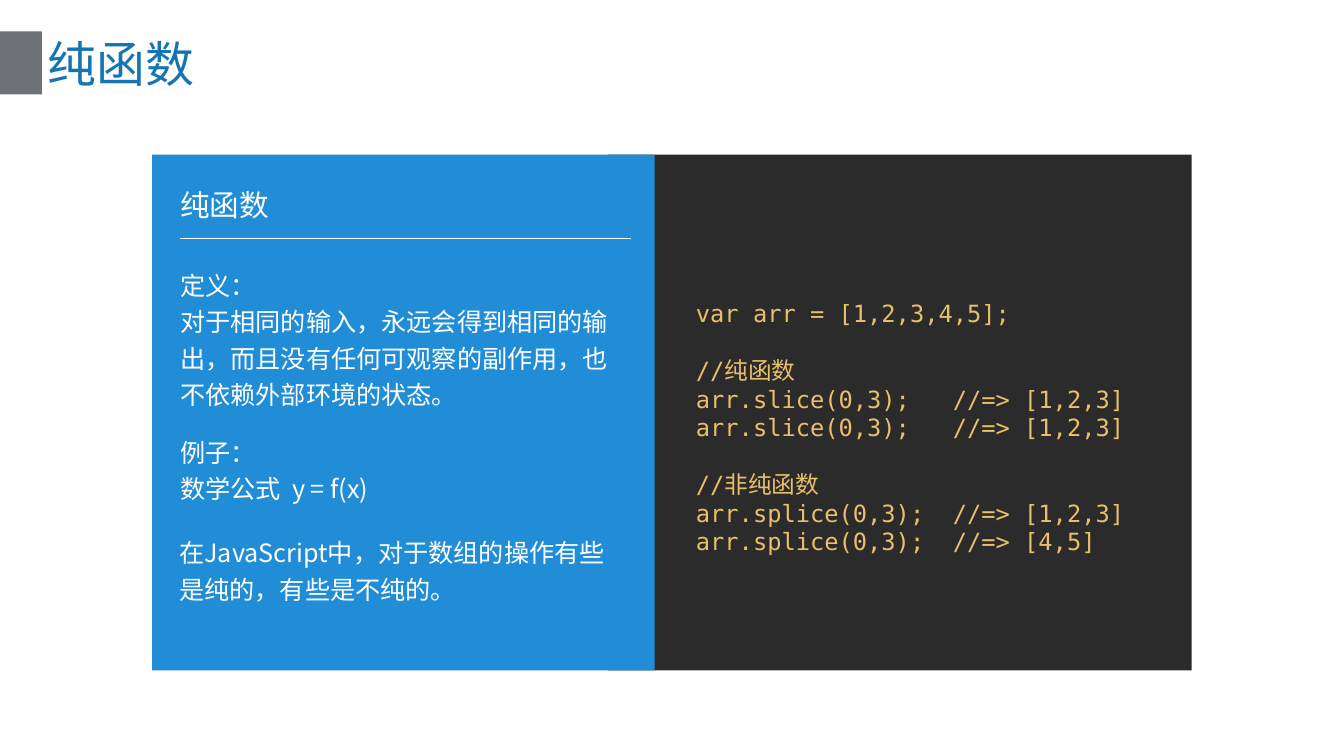
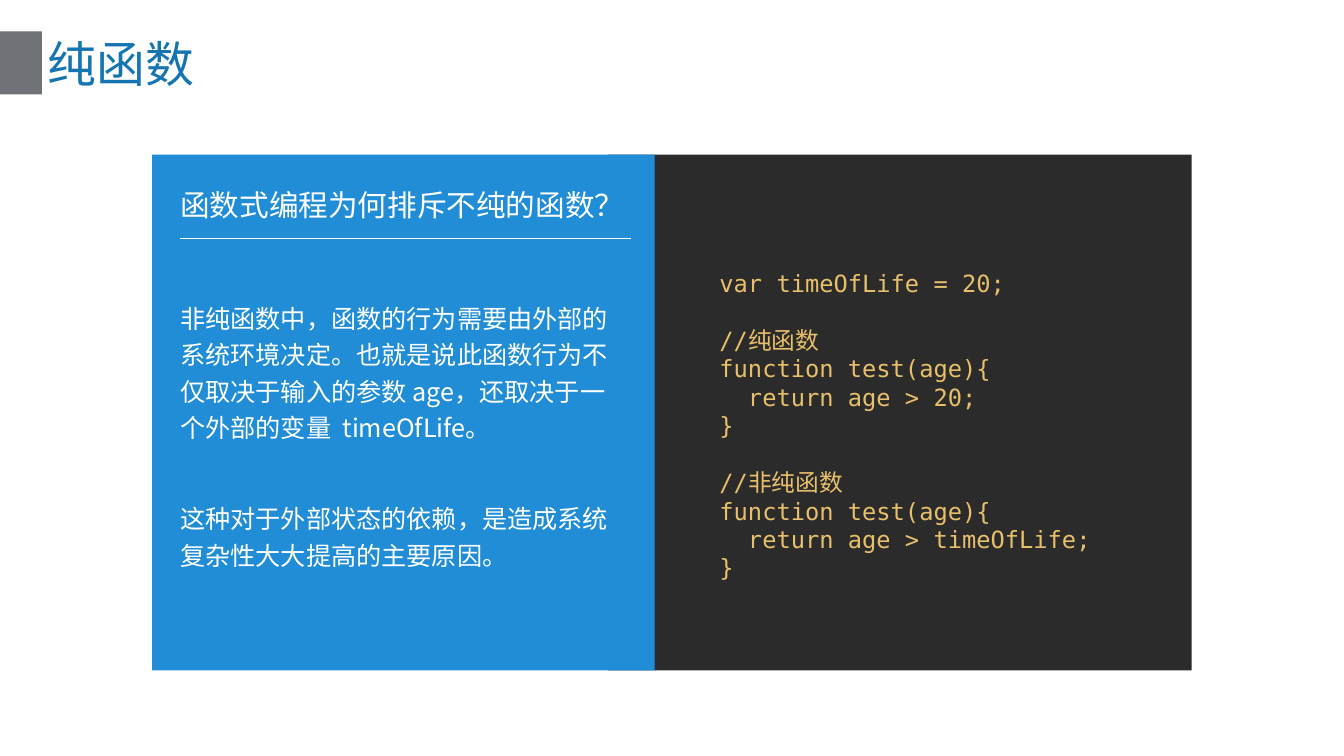
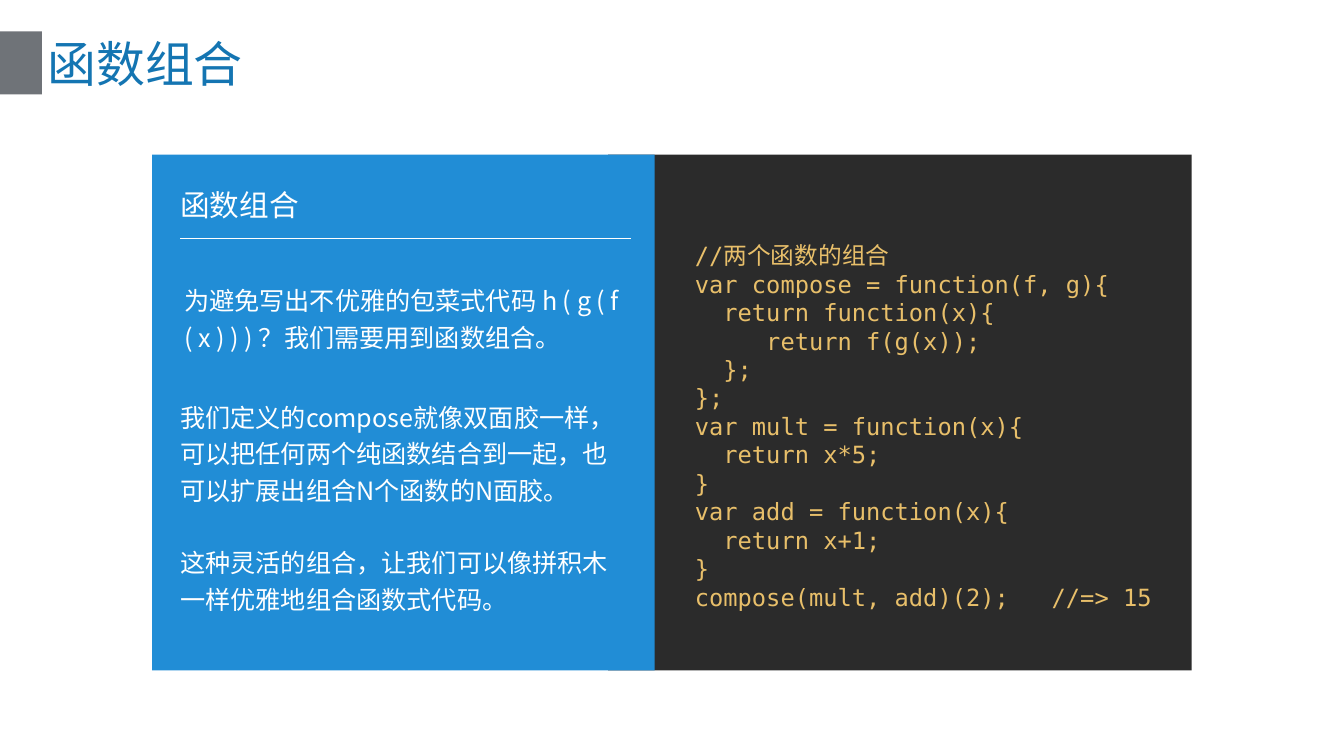
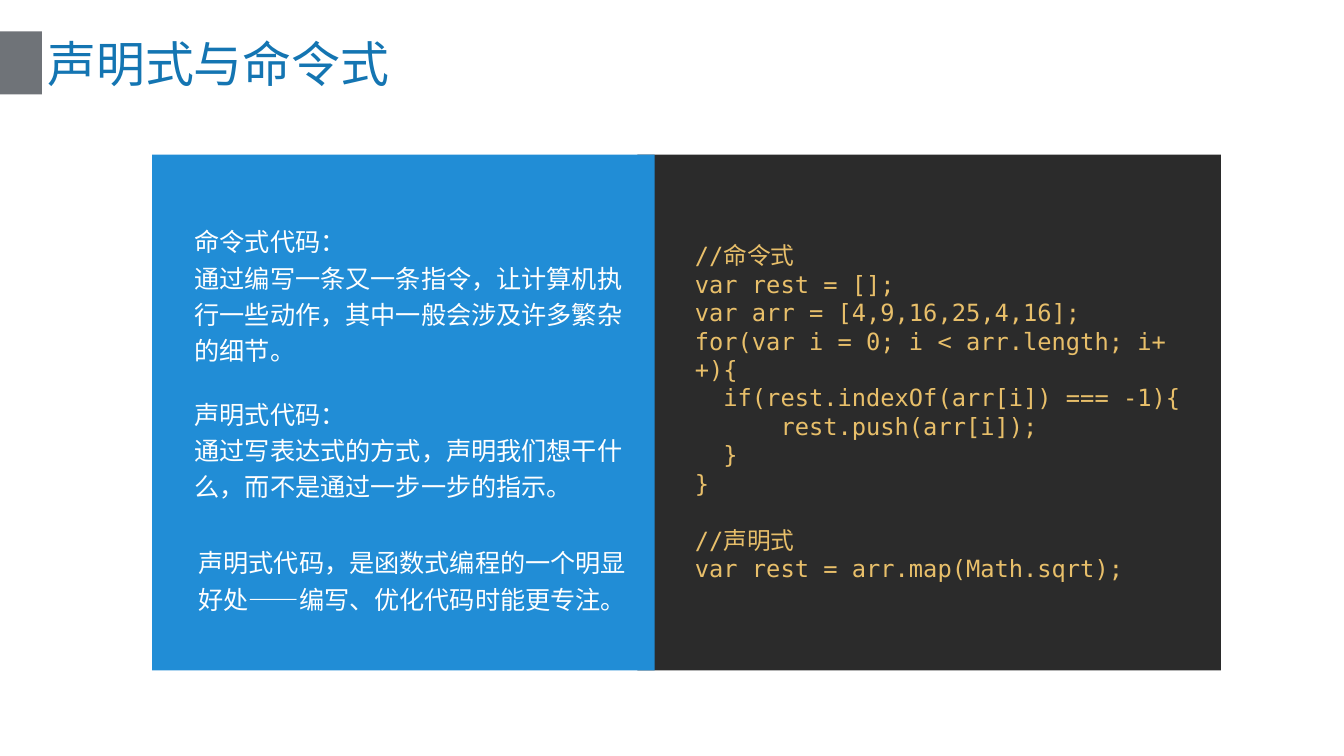
from pptx import Presentation
from pptx.dml.color import RGBColor
from pptx.enum import shapes, text
from pptx.oxml.ns import qn
from pptx.util import Cm, Pt
from lxml import etree

# Shared style
WHITE = RGBColor(0xFF, 0xFF, 0xFF)
GREY = RGBColor(0x6F, 0x73, 0x78)
TITLE_BLUE = RGBColor(0x14, 0x75, 0xB2)
PANEL_BLUE = RGBColor(0x21, 0x8D, 0xD6)
CODE_DARK = RGBColor(0x2B, 0x2B, 0x2B)
CODE_GOLD = RGBColor(0xE8, 0xBF, 0x6A)
SANS, MONO = "Noto Sans CJK SC", "DejaVu Sans Mono"
TITLE_SIZE, HEAD_SIZE, BODY_SIZE, CODE_SIZE = 66, 40, 34, 32
TIGHT, LOOSE = 1.2, 1.44  # line pitch as a multiple of the text size

# Panel boxes in cm: left, top, width, height
BLUE_BOX = (7.24, 7.37, 23.93, 24.56)
DARK_BOX = (28.96, 7.37, 27.79, 24.56)
DARK_BOX_RIGHT = (30.35, 7.37, 27.79, 24.56)


def write_lines(tf, lines, size, color, latin=SANS, pitch=TIGHT):
    """One paragraph per line; an empty line becomes space before the next."""
    tf.word_wrap = True
    gap, p = 0, None
    for line in lines:
        if not line:
            gap += size * pitch
            continue
        p = tf.paragraphs[0] if p is None else tf.add_paragraph()
        p.alignment = text.PP_ALIGN.LEFT
        p.line_spacing = Pt(size * pitch)
        p.space_before = Pt(gap)
        gap = 0
        p.add_run().text = line
        p.font.size = Pt(size)
        p.font.color.rgb = color
        p.font.name = latin
        ea = etree.SubElement(p.font._element, qn("a:ea"))
        ea.set("typeface", SANS)


def add_rect(slide, box, color):
    sp = slide.shapes.add_shape(shapes.MSO_SHAPE.RECTANGLE, *map(Cm, box))
    sp.shadow.inherit = False
    sp.fill.solid()
    sp.fill.fore_color.rgb = color
    sp.line.fill.background()


def add_note(slide, box, lines, size, pitch):
    """White text on the blue panel, centred vertically in its box."""
    tf = slide.shapes.add_textbox(*map(Cm, box)).text_frame
    tf.vertical_anchor = text.MSO_ANCHOR.MIDDLE
    tf.margin_left = tf.margin_right = Cm(0.18)
    tf.margin_top = tf.margin_bottom = Cm(0.18)
    write_lines(tf, lines, size, WHITE, pitch=pitch)


def add_title(slide, title):
    add_rect(slide, (0, 1.5, 2, 3), GREY)
    sp = slide.shapes.title
    sp.left, sp.top, sp.width, sp.height = map(Cm, (2, 1.45, 60, 3.05))
    tf = sp.text_frame
    tf.auto_size = text.MSO_AUTO_SIZE.NONE
    tf.vertical_anchor = text.MSO_ANCHOR.MIDDLE
    write_lines(tf, [title], TITLE_SIZE, TITLE_BLUE)


def add_blue_panel(slide, box, heading, notes):
    """notes: (dx, dy, drawn rows, lines), offsets from the panel corner."""
    x, y = box[:2]
    add_rect(slide, box, PANEL_BLUE)
    if heading:
        add_note(slide, (x + 1.17, y + 1.34, 22, 2.08), [heading], HEAD_SIZE, TIGHT)
        rule = slide.shapes.add_connector(
            shapes.MSO_CONNECTOR.STRAIGHT,
            *map(Cm, (x + 1.35, y + 3.96, x + 22.81, y + 3.96)))
        rule.line.color.rgb = WHITE
        rule.line.width = Pt(1)
        etree.SubElement(rule._element.spPr, qn("a:effectLst"))
    for dx, dy, rows, lines in notes:
        add_note(slide, (x + dx, y + dy, 21.44, 1.75 * rows + 0.24),
                 lines, BODY_SIZE, LOOSE)


def add_code(slide, box, dx, dy, width, rows, code):
    x, y = box[:2]
    sp = slide.shapes.add_textbox(
        *map(Cm, (x + dx, y + dy, width, 1.37 * rows + 0.25)))
    write_lines(sp.text_frame, code.strip("\n").split("\n"),
                CODE_SIZE, CODE_GOLD, latin=MONO)


def add_code_slide(prs, title, heading, notes, code, dark_box=DARK_BOX):
    slide = prs.slides.add_slide(prs.slide_layouts[5])
    add_title(slide, title)
    add_rect(slide, dark_box, CODE_DARK)
    add_blue_panel(slide, BLUE_BOX, heading, notes)
    add_code(slide, dark_box, *code)


PURE_CODE = """
var arr = [1,2,3,4,5];

//纯函数
arr.slice(0,3);   //=> [1,2,3]
arr.slice(0,3);   //=> [1,2,3]

//非纯函数
arr.splice(0,3);  //=> [1,2,3]
arr.splice(0,3);  //=> [4,5]
"""

STATE_CODE = """
var timeOfLife = 20;

//纯函数
function test(age){
  return age > 20;
}

//非纯函数
function test(age){
  return age > timeOfLife;
}
"""

COMPOSE_CODE = """
//两个函数的组合
var compose = function(f, g){
  return function(x){
     return f(g(x));
  };
};
var mult = function(x){
  return x*5;
}
var add = function(x){
  return x+1;
}
compose(mult, add)(2);   //=> 15
"""

STYLE_CODE = """
//命令式
var rest = [];
var arr = [4,9,16,25,4,16];
for(var i = 0; i < arr.length; i++){
  if(rest.indexOf(arr[i]) === -1){
      rest.push(arr[i]);
  }
}

//声明式
var rest = arr.map(Math.sqrt);
"""


def main():
    prs = Presentation()
    prs.slide_width, prs.slide_height = Cm(64), Cm(36)

    add_code_slide(prs, "纯函数", "纯函数", [
        (1.17, 5.05, 4, ["定义：", "对于相同的输入，永远会得到相同的输出，而且没有任何可观察的副作用，也不依赖外部环境的状态。"]),
        (1.17, 13.03, 2, ["例子：", "数学公式  y = f(x)"]),
        (1.12, 17.8, 2, ["在JavaScript中，对于数组的操作有些是纯的，有些是不纯的。"]),
    ], (3.93, 6.75, 23.88, 9, PURE_CODE))

    add_code_slide(prs, "纯函数", "函数式编程为何排斥不纯的函数？", [
        (1.17, 6.63, 4, ["非纯函数中，函数的行为需要由外部的系统环境决定。也就是说此函数行为不仅取决于输入的参数 age，还取决于一个外部的变量  timeOfLife。"]),
        (1.17, 16.18, 2, ["这种对于外部状态的依赖，是造成系统复杂性大大提高的主要原因。"]),
    ], (5.05, 5.3, 22.76, 11, STATE_CODE))

    add_code_slide(prs, "函数组合", "函数组合", [
        (1.35, 5.81, 2, ["为避免写出不优雅的包菜式代码 h ( g ( f ( x ) ) ) ？我们需要用到函数组合。"]),
        (1.17, 11.32, 6, ["我们定义的compose就像双面胶一样，可以把任何两个纯函数结合到一起，也可以扩展出组合N个函数的N面胶。",
                          "", "这种灵活的组合，让我们可以像拼积木一样优雅地组合函数式代码。"]),
    ], (3.88, 3.98, 22.76, 13, COMPOSE_CODE))

    add_code_slide(prs, "声明式与命令式", None, [
        (1.85, 2.97, 4, ["命令式代码：", "通过编写一条又一条指令，让计算机执行一些动作，其中一般会涉及许多繁杂的细节。"]),
        (1.85, 11.2, 3, ["声明式代码：", "通过写表达式的方式，声明我们想干什么，而不是通过一步一步的指示。"]),
        (2.03, 18.28, 2, ["声明式代码，是函数式编程的一个明显好处——编写、优化代码时能更专注。"]),
    ], (2.49, 3.98, 23.93, 12, STYLE_CODE), DARK_BOX_RIGHT)

    prs.save("out.pptx")


if __name__ == "__main__":
    main()
